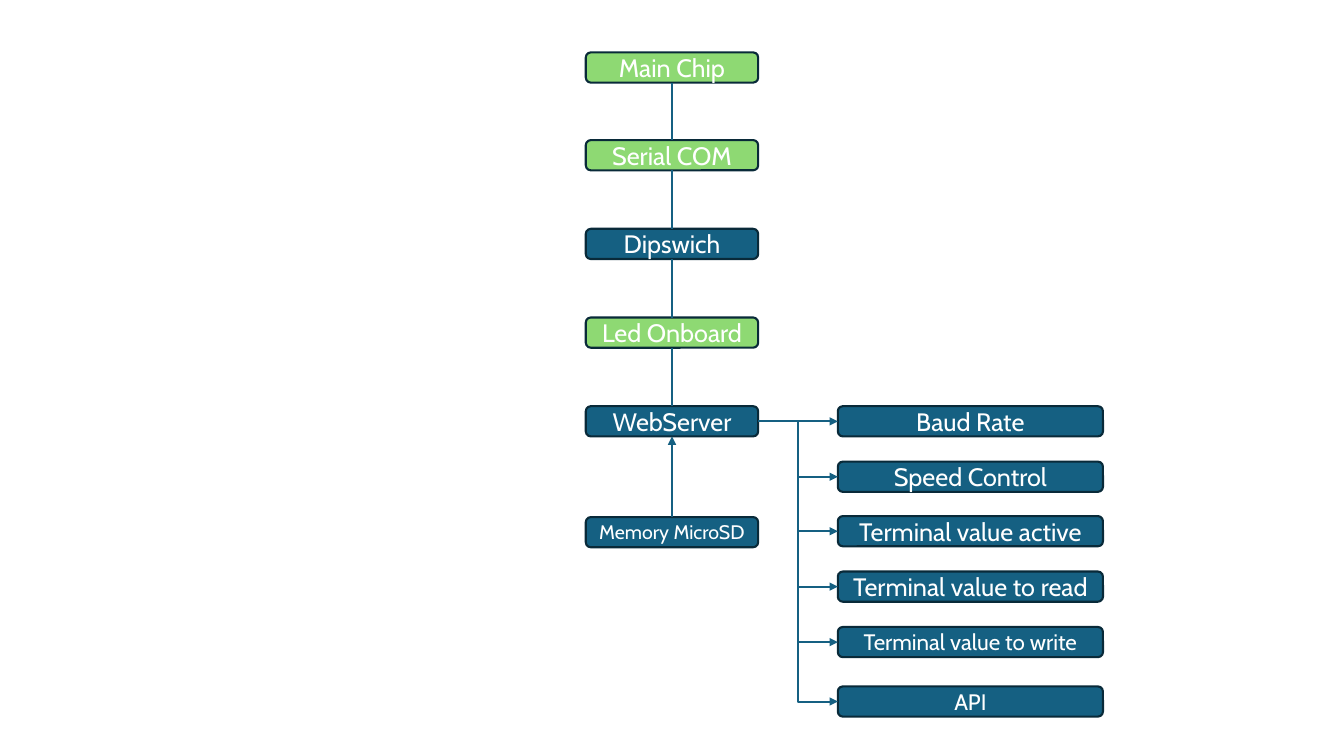
from lxml.etree import SubElement
from pptx import Presentation
from pptx.dml.color import RGBColor
from pptx.enum.shapes import MSO_CONNECTOR, MSO_SHAPE
from pptx.enum.text import MSO_ANCHOR, PP_ALIGN
from pptx.oxml.ns import qn
from pptx.util import Pt

PX = 9144  # EMU per px, 100 px to the inch
COLORS = {"done": "8ED973", "todo": "156082", "edge": "092A39",
          "wire": "156082", "text": "FFFFFF"}
TOP, LEFT, BOTTOM, RIGHT = range(4)
STEM_X, STEM_W = 581, 171
PAGE_X, PAGE_W = 831, 263
BOX_H = 30

STEM = [("Main Chip", "done"), ("Serial COM", "done"), ("Dipswich", "todo"),
        ("Led Onboard", "done"), ("WebServer", "todo")]
PAGES = [("Baud Rate", 18), ("Speed Control", 18),
         ("Terminal value active", 18), ("Terminal value to read", 18),
         ("Terminal value to write", 16)]


def paint(item, **values):
    for name, value in values.items():
        setattr(item, name, value)


def color(name):
    return RGBColor.from_string(COLORS[name])


def add_box(slide, text, x, y, w, fill="todo", size=18):
    box = slide.shapes.add_shape(MSO_SHAPE.ROUNDED_RECTANGLE,
                                 x * PX, y * PX, w * PX, BOX_H * PX)
    box.shadow.inherit = False
    box.fill.solid()
    box.fill.fore_color.rgb = color(fill)
    box.line.color.rgb = color("edge")
    box.line.width = Pt(1.5)
    frame = box.text_frame
    paint(frame, word_wrap=True, vertical_anchor=MSO_ANCHOR.MIDDLE,
          margin_top=0, margin_bottom=0)
    para = frame.paragraphs[0]
    para.alignment = PP_ALIGN.CENTER
    run = para.add_run()
    run.text = text
    paint(run.font, name="Cabin", size=Pt(size))
    run.font.color.rgb = color("text")
    return box


def add_wire(slide, start, out, end, into, kind=MSO_CONNECTOR.STRAIGHT,
             arrow=True):
    wire = slide.shapes.add_connector(kind, 0, 0, 0, 0)
    wire.begin_connect(start, out)
    wire.end_connect(end, into)
    wire.line.color.rgb = color("wire")
    wire.line.width = Pt(1.5)
    if arrow:
        SubElement(wire.line._get_or_add_ln(), qn("a:tailEnd"), type="triangle")
    SubElement(wire._element.spPr, qn("a:effectLst"))


def main():
    deck = Presentation()
    paint(deck, slide_width=1333 * PX, slide_height=750 * PX)
    slide = deck.slides.add_slide(deck.slide_layouts[6])

    # Main stem, top to bottom
    stem = [add_box(slide, text, STEM_X, int(52 + 87.75 * i), STEM_W, fill)
            for i, (text, fill) in enumerate(STEM)]
    for upper, lower in zip(stem, stem[1:]):
        add_wire(slide, upper, BOTTOM, lower, TOP, arrow=False)
    server = stem[-1]

    # Web server pages, with the API set a little apart
    pages = [add_box(slide, text, PAGE_X, round(403 + 54.75 * i), PAGE_W,
                     size=size)
             for i, (text, size) in enumerate(PAGES)]
    pages.append(add_box(slide, "API", PAGE_X, 681, PAGE_W, size=16))
    add_wire(slide, server, RIGHT, pages[0], LEFT)
    for page in pages[1:]:
        add_wire(slide, server, RIGHT, page, LEFT, MSO_CONNECTOR.ELBOW)

    # Memory that feeds the web server
    memory = add_box(slide, "Memory MicroSD", STEM_X, 513, STEM_W, size=14)
    add_wire(slide, memory, TOP, server, BOTTOM)

    deck.save("out.pptx")


if __name__ == "__main__":
    main()
